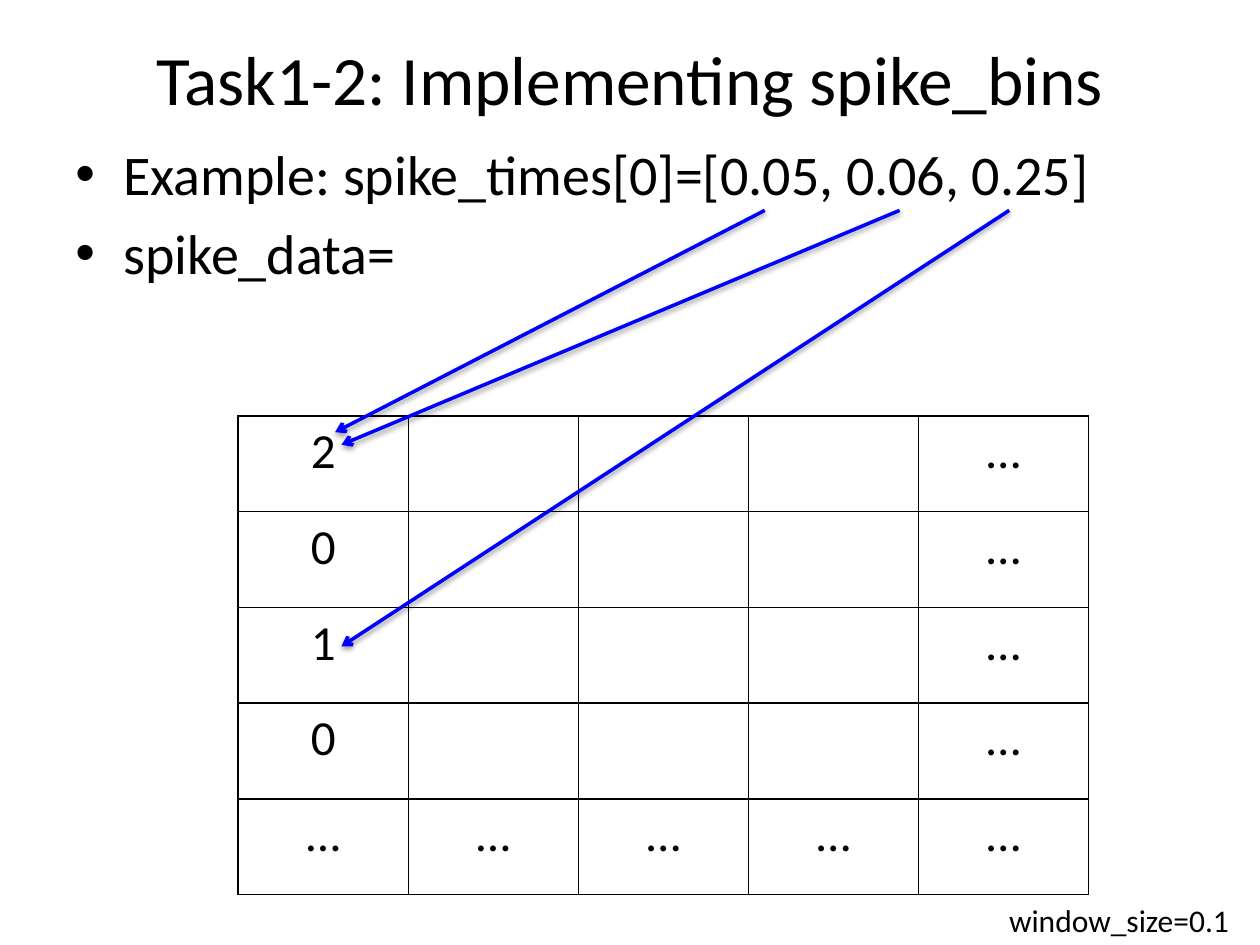
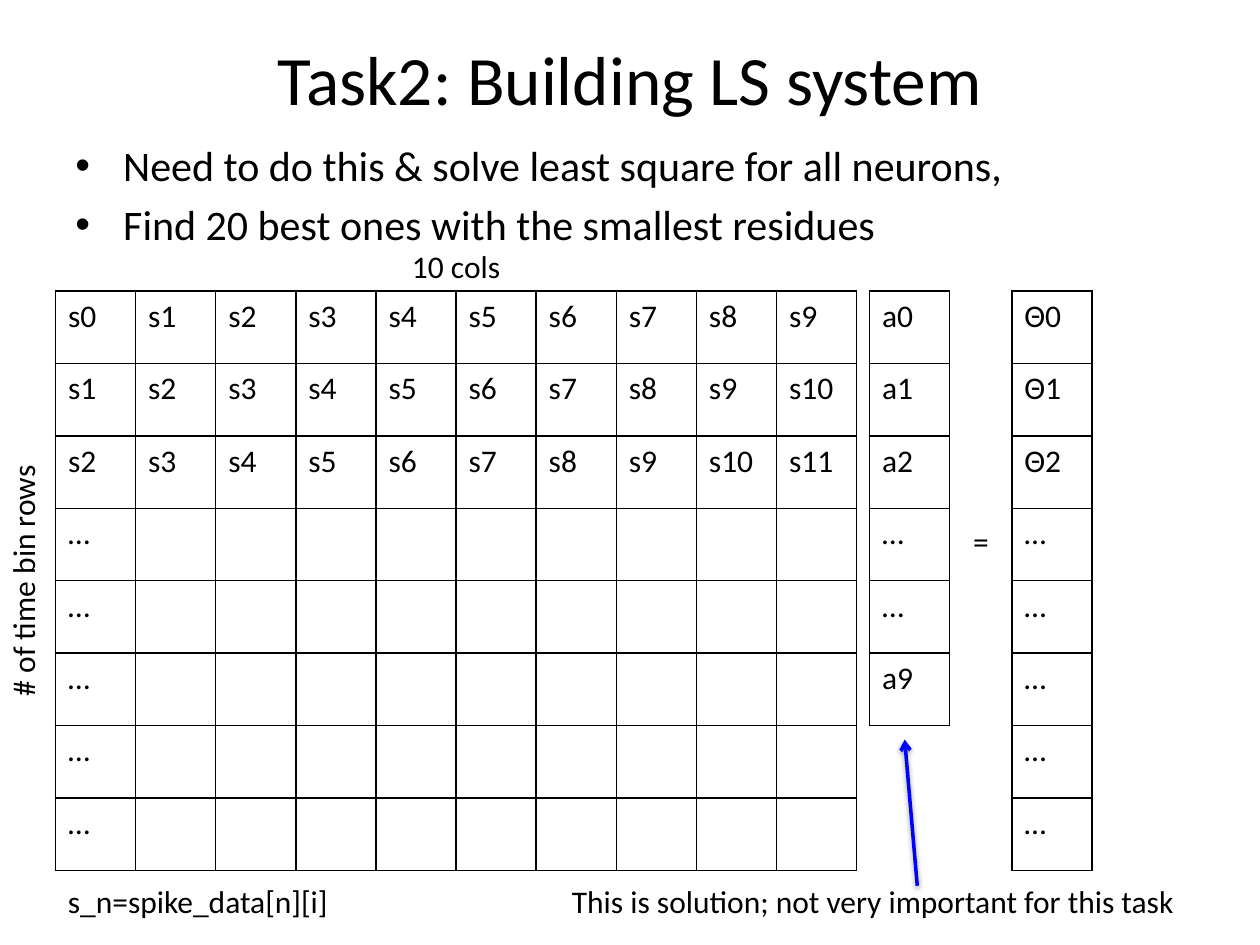
from dataclasses import dataclass
from typing import Any

import lxml.etree
import pptx
import pptx.dml.color
import pptx.enum.shapes
import pptx.enum.text
import pptx.oxml
import pptx.oxml.ns
import pptx.slide
import pptx.util

Inches = pptx.util.Inches
Pt = pptx.util.Pt
Align = pptx.enum.text.PP_ALIGN
Anchor = pptx.enum.text.MSO_ANCHOR
AutoSize = pptx.enum.text.MSO_AUTO_SIZE


@dataclass(frozen=True)
class Theme:
    font: str = "Calibri"
    ink: str = "000000"
    arrow: str = "0000FF"
    title: float = 39.6
    bullet: float = 32
    small_bullet: float = 24
    cell: float = 28
    label: float = 18
    border: float = 1
    arrow_line: float = 2


THEME = Theme()
ELLIPSIS = "…"


@dataclass(frozen=True)
class Label:
    text: str
    left: float
    top: float
    width: float
    align: Align = Align.LEFT
    rotation: float = 0
    height: float = 0.4


@dataclass(frozen=True)
class Grid:
    left: float
    top: float
    column_width: float
    row_height: float
    rows: list[list[str]]
    size: float
    align: Align = Align.LEFT


@dataclass(frozen=True)
class Arrow:
    start: tuple[float, float]
    end: tuple[float, float]


# Shared helpers
def apply_format(target: Any, values: dict[str, Any]) -> None:
    for name, value in values.items():
        setattr(target, name, value)


def add_xml(parent: Any, xml: str) -> None:
    """Append an element written with the a: prefix."""
    holder = f'<a:x {pptx.oxml.ns.nsdecls("a")}>{xml}</a:x>'
    parent.append(pptx.oxml.parse_xml(holder)[0])


def style_paragraph(para: Any, size: float, align: Align) -> None:
    para.alignment = align
    apply_format(para.font, {"name": THEME.font, "size": Pt(size)})
    para.font.color.rgb = pptx.dml.color.RGBColor.from_string(THEME.ink)


def add_box(page: pptx.slide.Slide, left: float, top: float, width: float, height: float) -> Any:
    box = page.shapes.add_textbox(Inches(left), Inches(top), Inches(width), Inches(height))
    box.text_frame.word_wrap = True
    return box


# Slide parts
def add_title(page: pptx.slide.Slide, text: str) -> None:
    frame = add_box(page, 0.5, 0.3, 9, 0.64).text_frame
    frame.vertical_anchor = Anchor.MIDDLE
    frame.text = text
    style_paragraph(frame.paragraphs[0], THEME.title, Align.CENTER)


def add_bullets(page: pptx.slide.Slide, lines: list[str], size: float) -> None:
    frame = add_box(page, 0.5, 1.06, 9, 5.64).text_frame
    frame.text = "\n".join(lines)
    indent = Inches(0.38)
    for index, para in enumerate(frame.paragraphs):
        properties = para._p.get_or_add_pPr()
        properties.set("marL", str(indent))
        properties.set("indent", str(-indent))
        add_xml(properties, '<a:buFont typeface="Arial"/>')
        add_xml(properties, '<a:buChar char="•"/>')
        para.space_before = Pt(0.2 * size if index else 0)
        style_paragraph(para, size, Align.LEFT)


def add_label(page: pptx.slide.Slide, label: Label) -> None:
    box = add_box(page, label.left, label.top, label.width, label.height)
    box.rotation = label.rotation
    box.text_frame.text = label.text
    box.text_frame.auto_size = AutoSize.SHAPE_TO_FIT_TEXT
    style_paragraph(box.text_frame.paragraphs[0], THEME.label, label.align)


def add_grid(page: pptx.slide.Slide, grid: Grid) -> None:
    row_count, column_count = len(grid.rows), len(grid.rows[0])
    table = page.shapes.add_table(
        row_count, column_count, Inches(grid.left), Inches(grid.top),
        Inches(grid.column_width * column_count), Inches(grid.row_height * row_count),
    ).table
    apply_format(table, {"first_row": False, "horz_banding": False})
    for row, texts in enumerate(grid.rows):
        for column, text in enumerate(texts):
            cell = table.cell(row, column)
            cell.text = text
            style_paragraph(cell.text_frame.paragraphs[0], grid.size, grid.align)
            for side in ("lnL", "lnR", "lnT", "lnB"):
                add_xml(
                    cell._tc.get_or_add_tcPr(),
                    f'<a:{side} w="{Pt(THEME.border)}"><a:solidFill>'
                    f'<a:srgbClr val="{THEME.ink}"/></a:solidFill></a:{side}>',
                )
            cell.fill.background()


def add_arrow(page: pptx.slide.Slide, arrow: Arrow) -> None:
    points = [Inches(value) for value in arrow.start + arrow.end]
    connector = page.shapes.add_connector(pptx.enum.shapes.MSO_CONNECTOR.STRAIGHT, *points)
    connector.line.color.rgb = pptx.dml.color.RGBColor.from_string(THEME.arrow)
    connector.line.width = Pt(THEME.arrow_line)
    properties = connector._element.spPr
    add_xml(properties.find(pptx.oxml.ns.qn("a:ln")), '<a:tailEnd type="arrow"/>')
    add_xml(
        properties,
        f'<a:effectLst><a:outerShdw blurRad="{Pt(3.1)}" dist="{Pt(1.6)}" dir="5400000" '
        f'rotWithShape="0"><a:srgbClr val="{THEME.ink}"><a:alpha val="38000"/></a:srgbClr>'
        "</a:outerShdw></a:effectLst>",
    )


# Slides
def build_spike_bins(page: pptx.slide.Slide) -> None:
    add_title(page, "Task1-2: Implementing spike_bins")
    add_bullets(page, ["Example: spike_times[0]=[0.05, 0.06, 0.25]", "spike_data="], THEME.bullet)
    counts = [[count, "", "", "", ELLIPSIS] for count in "2010"]
    rows = counts + [[ELLIPSIS] * 5]
    add_grid(page, Grid(1.89, 3.3, 1.35, 0.76, rows, THEME.cell, Align.CENTER))
    add_label(page, Label("window_size=0.1", 7.91, 7.1, 2.09))
    for arrow in (
        Arrow((6.07, 1.67), (2.66, 3.43)),
        Arrow((7.14, 1.67), (2.71, 3.53)),
        Arrow((8.01, 1.67), (2.71, 5.13)),
    ):
        add_arrow(page, arrow)


def build_ls_system(page: pptx.slide.Slide) -> None:
    add_title(page, "Task2: Building LS system")
    add_bullets(
        page,
        [
            "Need to do this & solve least square for all neurons,",
            "Find 20 best ones with the smallest residues",
        ],
        THEME.small_bullet,
    )

    # Matrix, unknowns and right-hand side
    columns, filled, remaining = 10, 3, 5
    spikes = [[f"s{row + column}" for column in range(columns)] for row in range(filled)]
    spikes += [[ELLIPSIS] + [""] * (columns - 1)] * remaining
    unknowns = [["a0"], ["a1"], ["a2"], [ELLIPSIS], [ELLIPSIS], ["a9"]]
    angles = [[f"Θ{row}"] for row in range(filled)] + [[ELLIPSIS]] * remaining
    for left, rows in ((0.44, spikes), (6.9, unknowns), (8.03, angles)):
        add_grid(page, Grid(left, 2.31, 0.636, 0.575, rows, THEME.label))

    for label in (
        Label("10 cols", 0.44, 1.91, 6.36, Align.CENTER),
        Label("# of time bin rows", -2.12, 4.41, 4.6, Align.CENTER, 270),
        Label("=", 7.54, 4.09, 0.49, Align.CENTER),
        Label("s_n=spike_data[n][i]", 0.44, 6.95, 6.36),
        Label("This is solution; not very important for this task", 4.44, 6.95, 5.45),
    ):
        add_label(page, label)
    add_arrow(page, Arrow((7.28, 7.03), (7.18, 5.87)))


def main() -> None:
    deck = pptx.Presentation()
    apply_format(deck, {"slide_width": Inches(10), "slide_height": Inches(7.5)})
    blank = deck.slide_layouts[6]
    for build in (build_spike_bins, build_ls_system):
        build(deck.slides.add_slide(blank))
    deck.save("out.pptx")


if __name__ == "__main__":
    main()
